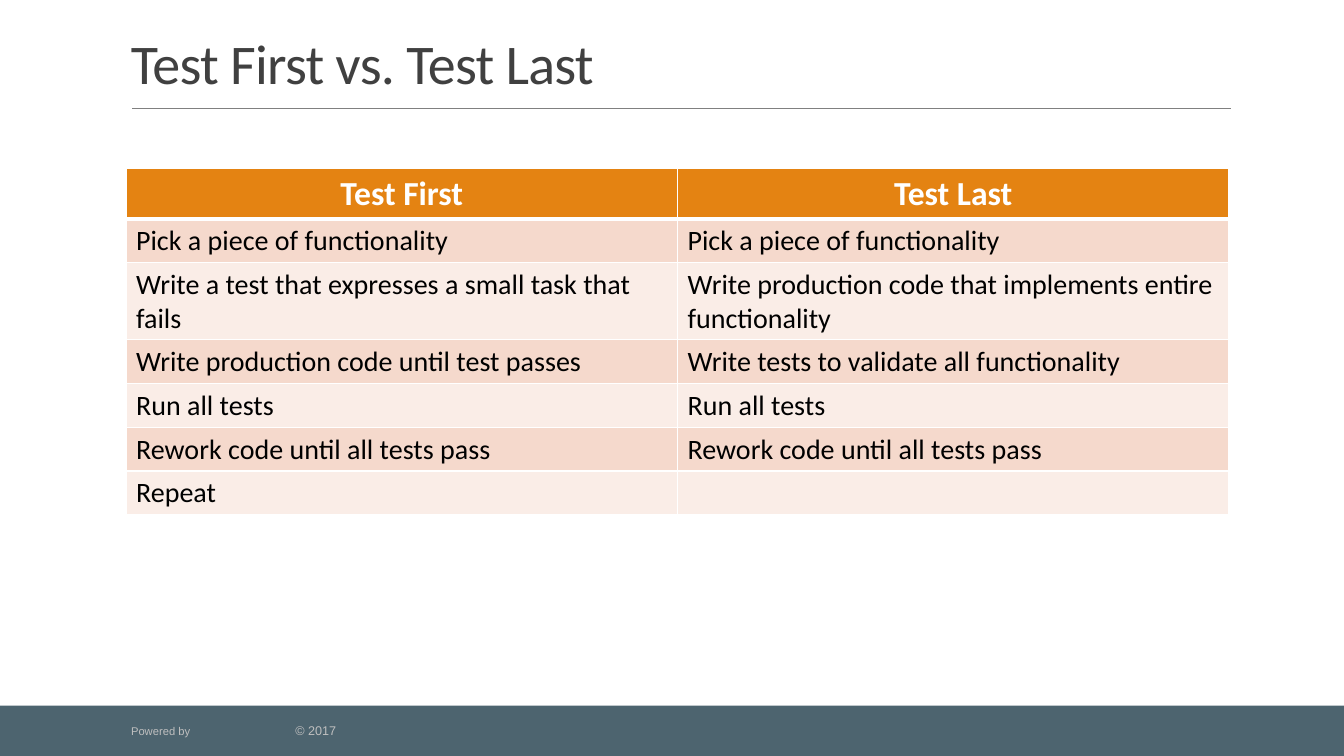
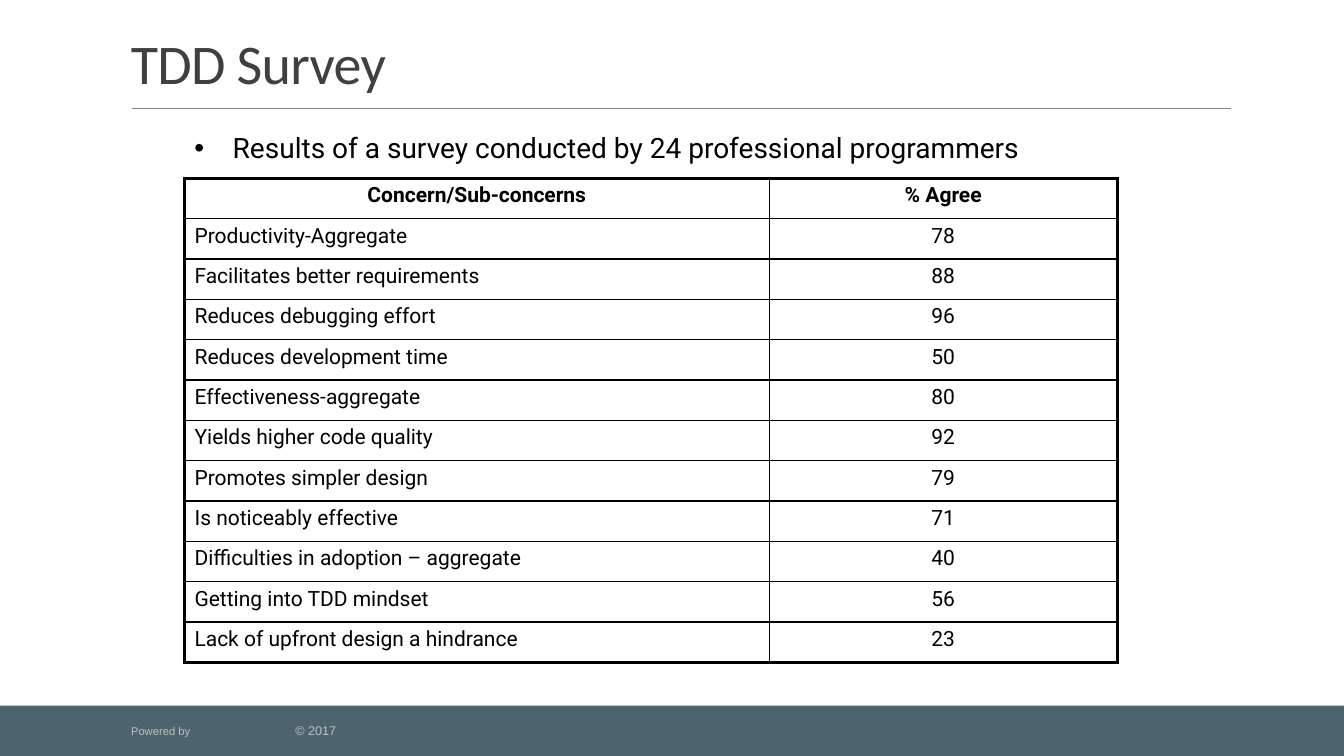
"""Build two slides on test-driven development: a comparison and a survey."""
from lxml import etree
from pptx import Presentation, util as u
from pptx.dml.color import RGBColor
from pptx.enum import shapes, text
from pptx.oxml.ns import qn

COLORS = {"band": "4D646F", "rule": "808080", "footer": "BFBFBF", "title": "404040",
          "header": "E48312", "odd": "F5D9CC", "even": "FAEDE7",
          "white": "FFFFFF", "black": "000000"}
WIDTH, HEIGHT = 13.33, 7.5
LEFT, CENTER = text.PP_ALIGN.LEFT, text.PP_ALIGN.CENTER

FOOTER = (("Powered by", 8), ("\t© 2017", 9))
COMPARISON = [
    ("Test First", "Test Last"),
    ("Pick a piece of functionality", "Pick a piece of functionality"),
    ("Write a test that expresses a small task that fails",
     "Write production code that implements entire functionality"),
    ("Write production code until test passes", "Write tests to validate all functionality"),
    ("Run all tests", "Run all tests"),
    ("Rework code until all tests pass", "Rework code until all tests pass"),
    ("Repeat", ""),
]
SURVEY_INTRO = "Results of a survey conducted by 24 professional programmers"
SURVEY = [
    ("Concern/Sub-concerns", "% Agree"),
    ("Productivity-Aggregate", "78"),
    ("Facilitates better requirements", "88"),
    ("Reduces debugging effort", "96"),
    ("Reduces development time", "50"),
    ("Effectiveness-aggregate", "80"),
    ("Yields higher code quality", "92"),
    ("Promotes simpler design", "79"),
    ("Is noticeably effective", "71"),
    ("Difficulties in adoption – aggregate", "40"),
    ("Getting into TDD mindset", "56"),
    ("Lack of upfront design a hindrance", "23"),
]


def rgb(name):
    return RGBColor.from_string(COLORS[name])


def add_run(paragraph, wording, size, font, color, bold=False):
    run = paragraph.add_run()
    run.text = wording
    for key, value in {"size": u.Pt(size), "name": font, "bold": bold}.items():
        setattr(run.font, key, value)
    run.font.color.rgb = rgb(color)
    return run


def add_text_box(slide, box, anchor=text.MSO_ANCHOR.TOP, **margins):
    frame = slide.shapes.add_textbox(*map(u.Inches, box)).text_frame
    for key, value in {"word_wrap": True, "vertical_anchor": anchor, **margins}.items():
        setattr(frame, key, value)
    return frame.paragraphs[0]


def add_slide(presentation, title):
    slide = presentation.slides.add_slide(presentation.slide_layouts[6])
    band = slide.shapes.add_shape(shapes.MSO_SHAPE.RECTANGLE,
                                  *map(u.Inches, (0, 7, WIDTH, HEIGHT - 7)))
    band.shadow.inherit = False
    band.fill.solid()
    band.fill.fore_color.rgb = rgb("band")
    band.line.fill.background()

    rule = slide.shapes.add_connector(shapes.MSO_CONNECTOR.STRAIGHT,
                                      *map(u.Inches, (1.31, 1.08, 12.21, 1.08)))
    rule.line.color.rgb = rgb("rule")
    rule.line.width = u.Pt(0.5)
    etree.SubElement(rule._element.spPr, qn("a:effectLst"))

    margins = {f"margin_{side}": u.Inches(0.05) for side in ("left", "top", "right", "bottom")}
    footer = add_text_box(slide, (1.25, 7.12, 3.1, 0.25), text.MSO_ANCHOR.MIDDLE, **margins)
    tabs = etree.SubElement(footer._p.get_or_add_pPr(), qn("a:tabLst"))
    etree.SubElement(tabs, qn("a:tab"), pos=str(u.Inches(1.63)), algn="l")
    for wording, size in FOOTER:
        add_run(footer, wording, size, "Arial", "footer")

    heading = add_text_box(slide, (1.2, 0.31, 11, 0.69), text.MSO_ANCHOR.BOTTOM)
    heading.line_spacing = 0.85
    add_run(heading, title, 40, "Calibri", "title").font._element.set("spc", "-50")
    return slide


def set_borders(cell, color, widths):
    properties = cell._tc.get_or_add_tcPr()
    for side, width in zip("LRTB", widths):
        line = etree.SubElement(properties, qn(f"a:ln{side}"), w=str(u.Pt(width)))
        fill = etree.SubElement(line, qn("a:solidFill"))
        etree.SubElement(fill, qn("a:srgbClr"), val=COLORS[color])


def add_table(slide, rows, corner, columns, row_height, style):
    size = (sum(columns), row_height * len(rows))
    table = slide.shapes.add_table(len(rows), len(columns),
                                   *map(u.Inches, (*corner, *size))).table
    table.first_row = table.horz_banding = False
    for column, width in zip(table.columns, columns):
        column.width = u.Inches(width)
    for r, row in enumerate(rows):
        for c, wording in enumerate(row):
            cell = table.cell(r, c)
            last = (r == len(rows) - 1, c == len(columns) - 1)
            set_borders(cell, style["border"], style["widths"](r, c, *last))
            fill = style["fill"](r)
            if fill:
                cell.fill.solid()
                cell.fill.fore_color.rgb = rgb(fill)
            else:
                cell.fill.background()
            paragraph = cell.text_frame.paragraphs[0]
            paragraph.alignment = CENTER if r == 0 else style["align"][c]
            if wording:
                size, color = style["head" if r == 0 else "body"]
                add_run(paragraph, wording, size, style["font"], color, r == 0)


def comparison_widths(r, c, last_row, last_column):
    return 1, 1, 3 if r == 1 else 1, 3 if r == 0 else 1


def survey_widths(r, c, last_row, last_column):
    return [2.25 if outer else 1 for outer in (c == 0, last_column, r == 0, last_row)]


COMPARISON_STYLE = {
    "font": "Calibri", "head": (24, "white"), "body": (20, "black"), "align": (LEFT, LEFT),
    "border": "white", "widths": comparison_widths,
    "fill": lambda r: "header" if r == 0 else "odd" if r % 2 else "even"}
SURVEY_STYLE = {
    "font": "Roboto", "head": (15, "black"), "body": (15, "black"), "align": (LEFT, CENTER),
    "border": "black", "widths": survey_widths, "fill": lambda r: None}

presentation = Presentation()
presentation.slide_width, presentation.slide_height = u.Inches(WIDTH), u.Inches(HEIGHT)

comparison = add_slide(presentation, "Test First vs. Test Last")
add_table(comparison, COMPARISON, (1.25, 1.67), (5.47, 5.47), 0.41, COMPARISON_STYLE)

survey = add_slide(presentation, "TDD Survey")
add_table(survey, SURVEY, (1.83, 1.77), (5.8, 3.45), 0.4, SURVEY_STYLE)
intro = add_text_box(survey, (1.83, 1.25, 9.09, 0.44))
indent = intro._p.get_or_add_pPr()
for key, value in {"marL": 0.38, "indent": -0.38}.items():
    indent.set(key, str(u.Inches(value)))
etree.SubElement(indent, qn("a:buFont"), typeface="Arial")
etree.SubElement(indent, qn("a:buChar"), char="•")
add_run(intro, SURVEY_INTRO, 20, "Roboto", "black")

presentation.save("out.pptx")
